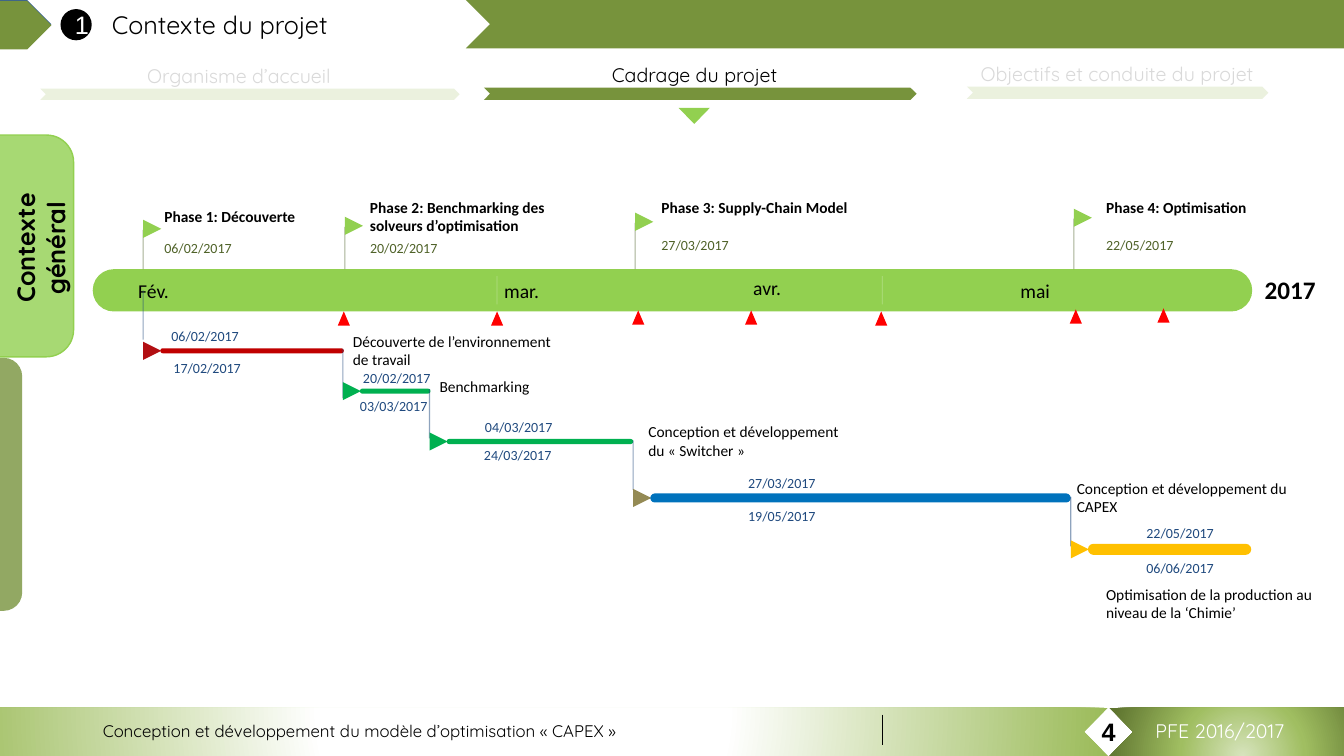
from lxml import etree
from pptx import Presentation
from pptx.dml.color import RGBColor
from pptx.enum.shapes import MSO_CONNECTOR, MSO_SHAPE
from pptx.enum.text import MSO_ANCHOR, PP_ALIGN
from pptx.oxml import parse_xml
from pptx.oxml.ns import nsdecls, qn
from pptx.util import Inches, Pt

CHEVRON, PENTAGON = MSO_SHAPE.CHEVRON, MSO_SHAPE.PENTAGON
ROUNDED, OVAL = MSO_SHAPE.ROUNDED_RECTANGLE, MSO_SHAPE.OVAL
TRIANGLE, FLAG = MSO_SHAPE.ISOSCELES_TRIANGLE, MSO_SHAPE.FLOWCHART_MERGE
LEFT, CENTER = PP_ALIGN.LEFT, PP_ALIGN.CENTER

WIDTH, HEIGHT = 13.33, 7.5
FLAG_SIZE = 0.18
TITLE_FONT, BODY_FONT, NUMBER_FONT = "Quicksand", "Calibri", "Arial"
COLORS = {
    "black": "000000", "white": "FFFFFF", "olive": "77933C", "navy": "376092",
    "pale": "EBF1DE", "muted": "D9D9D9", "lime": "92D050", "moss": "4F6228",
    "date": "1F497E", "drop": "1F497D", "marker": "FF0000", "dark red": "B20E12",
    "red": "C00000", "green": "00B050", "khaki": "948A54", "blue": "0072BC",
    "amber": "FFC000",
}
FOOTER_FADE = [(0, "FFFFFF"), (35, "FFFFFF"), (100, "9BBB59")]
BADGE_FADE = [(0, "D7E4BD"), (46, "A0BE61"), (100, "5F7530")]


def rgb(color):
    return RGBColor.from_string(COLORS[color])


def add_shape(slide, kind, box, color, rotation=0, alpha=None, corner=None):
    shape = slide.shapes.add_shape(kind, *map(Inches, box))
    shape.shadow.inherit = False
    shape.rotation = rotation
    shape.fill.solid()
    shape.fill.fore_color.rgb = rgb(color)
    shape.line.fill.background()
    if corner is not None:
        shape.adjustments[0] = corner
    if alpha:
        set_alpha(shape, alpha)
    return shape


def set_alpha(drawn, percent):
    """Make the first colour of a shape's fill or a connector's line see-through."""
    color = drawn._element.spPr.find(".//" + qn("a:srgbClr"))
    etree.SubElement(color, qn("a:alpha")).set("val", str(percent * 1000))


def set_radial_fill(shape, stops, top, bottom):
    """Swap the solid fill for a circular fade whose focus lies off the shape."""
    marks = "".join(
        f'<a:gs pos="{position * 1000}"><a:srgbClr val="{color}"/></a:gs>'
        for position, color in stops)
    fade = parse_xml(
        f'<a:gradFill {nsdecls("a")} rotWithShape="1"><a:gsLst>{marks}</a:gsLst>'
        f'<a:path path="circle"><a:fillToRect l="50000" t="{top * 1000}" '
        f'r="50000" b="{bottom * 1000}"/></a:path></a:gradFill>')
    properties = shape._element.spPr
    properties.replace(properties.find(qn("a:solidFill")), fade)


def add_line(slide, start, end, color, width=0.75, alpha=50):
    line = slide.shapes.add_connector(
        MSO_CONNECTOR.STRAIGHT, *map(Inches, start + end))
    line.line.color.rgb = rgb(color)
    line.line.width = Pt(width)
    etree.SubElement(line._element.spPr, qn("a:effectLst"))
    set_alpha(line, alpha)


def write(shape, text, size, color, font, bold=False, align=LEFT):
    frame = shape.text_frame
    frame.word_wrap = True
    frame.vertical_anchor = MSO_ANCHOR.MIDDLE
    frame.margin_left = frame.margin_right = 0
    frame.margin_top = frame.margin_bottom = 0
    frame.text = text
    paragraph = frame.paragraphs[0]
    paragraph.alignment = align
    style = paragraph.runs[0].font
    style.size, style.bold, style.name = Pt(size), bold, font
    style.color.rgb = rgb(color)


def add_label(slide, box, text, size=11, color="black", font=BODY_FONT,
              bold=False, align=LEFT):
    label = slide.shapes.add_textbox(*map(Inches, box))
    write(label, text, size, color, font, bold, align)
    return label


def add_date(slide, left, top, text, color="date"):
    add_label(slide, (left, top, 0.82, 0.17), text, 10, color)


def add_flag(slide, left, top, color):
    add_shape(slide, FLAG, (left, top, FLAG_SIZE, FLAG_SIZE), color, rotation=270)


def draw_header(slide, box):
    left, top, width, height = box
    add_shape(slide, CHEVRON, (left + 4.62, top, 9.09, height), "olive")
    for offset, color in ((0, "navy"), (0.01, "olive")):
        add_shape(slide, PENTAGON, (left, top + offset, 0.51, height), color)
    add_label(slide, (left + 1.11, top, 3.4, height), "Contexte du projet", 18,
              font=TITLE_FONT)
    badge = add_shape(slide, OVAL, (left + 0.6, top + 0.09, 0.31, 0.31), "black")
    write(badge, "1", 18, "white", NUMBER_FONT, align=CENTER)
    badge.text_frame.margin_left = Inches(0.1)


def draw_section(slide, box, text, text_center, active=False):
    left, top, width, height = box
    add_shape(slide, CHEVRON, box, "olive" if active else "pale")
    add_label(slide, (text_center - 1.74, top - 0.3, 3.48, 0.34), text, 14,
              "black" if active else "muted", TITLE_FONT, align=CENTER)
    if active:
        add_shape(slide, TRIANGLE, (text_center - 0.16, top + 0.2, 0.31, 0.16),
                  "lime", rotation=180)


def draw_side_tabs(slide, box):
    left, top, width, height = box
    add_shape(slide, ROUNDED, (left, top + 2.21, 1.1, height - 2.21), "olive", alpha=80)
    tab = add_shape(slide, ROUNDED, (left, top, width, 2.2), "lime", alpha=80)
    tab.line.color.rgb = rgb("lime")
    tab.line.width = Pt(1)
    title = add_label(slide, (-0.5, top + 0.77, 1.8, 0.7), "Contexte général", 18,
                      font=TITLE_FONT, bold=True, align=CENTER)
    title.rotation = 270


def draw_time_bar(slide, box):
    left, top, width, height = box
    add_shape(slide, ROUNDED, box, "lime", corner=0.5)
    for month, start, rise in (("Fév.", 1.37, 0), ("mar.", 5, 0),
                               ("avr.", 7.47, 0.03), ("mai", 10.12, 0)):
        add_label(slide, (start, top + 0.11 - rise, 0.51, 0.2), month, 14)
    for tick in (4.93, 8.75):
        add_line(slide, (tick, top + 0.07), (tick, top + 0.35), "white", 0.5, 30)
    for marker, offset in ((3.35, 0.42), (4.87, 0.42), (6.27, 0.41), (7.39, 0.41),
                           (8.68, 0.42), (10.61, 0.4), (11.48, 0.39)):
        add_shape(slide, TRIANGLE, (marker, top + offset, 0.12, 0.14), "marker")
    add_label(slide, (left + width + 0.12, top + 0.05, 0.51, 0.31), "2017", 18,
              bold=True, align=CENTER)


def draw_phase(slide, flag, base, title_box, title, date_top, date):
    """Plant a flag at (left, top) whose pole stands on the time bar at base."""
    left, top = flag
    add_line(slide, (left, top + 0.1), (left, base), "moss")
    add_flag(slide, left, top, "lime")
    add_label(slide, title_box, title, bold=True)
    add_date(slide, title_box[0], date_top, date, "moss")


def draw_task(slide, box, flag_color, bar_color, drop_top, dates, label_box, label):
    """Draw a dated bar; dates holds (left, top offset, text) from the bar's middle."""
    left, middle, length, thickness = box
    add_line(slide, (left, drop_top), (left, drop_top + 0.49), "drop")
    add_flag(slide, left, middle - FLAG_SIZE / 2, flag_color)
    add_shape(slide, ROUNDED, (left + 0.17, middle - thickness / 2, length, thickness),
              bar_color, corner=0.5)
    for date_left, offset, date in dates:
        add_date(slide, date_left, middle + offset, date)
    add_label(slide, label_box, label)


def draw_footer(slide, box):
    left, top, width, height = box
    band = add_shape(slide, CHEVRON, (left - 0.61, top, 11.6, height), "white", 180)
    set_radial_fill(band, FOOTER_FADE, -80, 180)
    add_label(slide, (left + 10.76, top, 0.47, height), "4", 18, font=NUMBER_FONT,
              bold=True, align=CENTER)
    add_label(slide, (left + 1.02, top, 7.5, 0.45), "Conception et développement du modèle "
              "d’optimisation «\u00a0CAPEX\u00a0»", 12, font=TITLE_FONT)
    add_line(slide, (left + 8.75, top + 0.07), (left + 8.75, top + 0.37), "black", 0.5, 100)
    corner = add_shape(slide, CHEVRON, (left + 11, top, 2.65, height), "olive")
    set_radial_fill(corner, BADGE_FADE, 130, -30)
    add_label(slide, (left + 11.28, top, 1.64, 0.46), "PFE 2016/2017", 14, "white",
              TITLE_FONT, align=CENTER)


PHASES = [
    ((1.42, 2.18), (1.63, 2.05, 1.95, 0.19), "Phase 1: Découverte", 2.37, "06/02/2017"),
    ((3.42, 2.15), (3.67, 1.96, 2.2, 0.37),
     "Phase 2: Benchmarking des solveurs d’optimisation", 2.37, "20/02/2017"),
    ((6.3, 2.11), (6.56, 1.96, 1.95, 0.19), "Phase 3: Supply-Chain Model", 2.34, "27/03/2017"),
    ((10.65, 2.07), (10.97, 1.96, 1.95, 0.19), "Phase 4: Optimisation", 2.34, "22/05/2017"),
]
TASKS = [
    ((1.42, 3.48, 1.82, 0.05), "dark red", "red", 2.88,
     [(1.7, -0.23, "06/02/2017"), (1.72, 0.09, "17/02/2017")],
     (3.5, 3.29, 2.08, 0.37), "Découverte de l’environnement de travail"),
    ((3.4, 3.88, 0.7, 0.05), "green", "green", 3.46,
     [(3.6, -0.22, "20/02/2017"), (3.57, 0.06, "03/03/2017")],
     (4.36, 3.74, 1.21, 0.19), "Benchmarking"),
    ((4.26, 4.38, 1.85, 0.05), "green", "green", 3.86,
     [(4.81, -0.23, "04/03/2017"), (4.8, 0.05, "24/03/2017")],
     (6.43, 4.19, 2.05, 0.37), "Conception et développement du «\u00a0Switcher\u00a0»"),
    ((6.28, 4.94, 4.17, 0.09), "khaki", "blue", 4.37,
     [(7.42, -0.23, "27/03/2017"), (7.42, 0.09, "19/05/2017")],
     (10.68, 4.75, 2.33, 0.37), "Conception et développement du CAPEX"),
    ((10.62, 5.45, 1.62, 0.11), "amber", "amber", 4.93,
     [(11.37, -0.25, "22/05/2017"), (11.37, 0.1, "06/06/2017")],
     (10.97, 5.8, 2.33, 0.37), "Optimisation de la production au niveau de la ‘Chimie’"),
]


def main():
    presentation = Presentation()
    presentation.slide_width, presentation.slide_height = Inches(WIDTH), Inches(HEIGHT)
    slide = presentation.slides.add_slide(presentation.slide_layouts[6])
    time_bar = (0.92, 2.67, 11.5, 0.42)
    draw_header(slide, (0, 0, WIDTH, 0.48))
    draw_section(slide, (0.4, 0.88, 4.16, 0.11), "Organisme d’accueil", 2.37)
    draw_section(slide, (4.8, 0.87, 4.29, 0.12), "Cadrage du projet", 6.89, active=True)
    draw_section(slide, (9.59, 0.86, 2.99, 0.12), "Objectifs et conduite du projet", 11.08)
    draw_footer(slide, (0, 7.02, WIDTH, 0.48))
    draw_time_bar(slide, time_bar)
    for flag, *details in PHASES:
        draw_phase(slide, flag, time_bar[1], *details)
    for task in TASKS:
        draw_task(slide, *task)
    draw_side_tabs(slide, (-0.88, 1.34, 1.61, 4.72))
    presentation.save("out.pptx")


if __name__ == "__main__":
    main()
